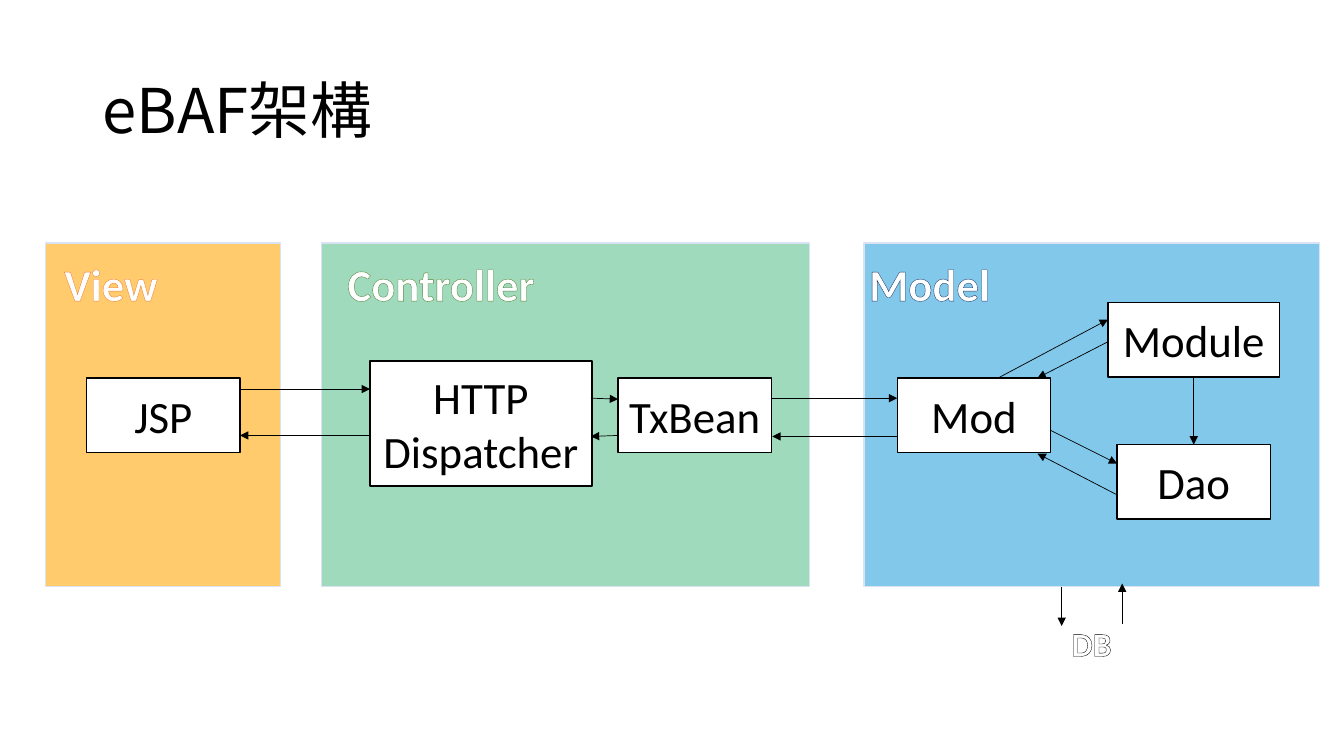
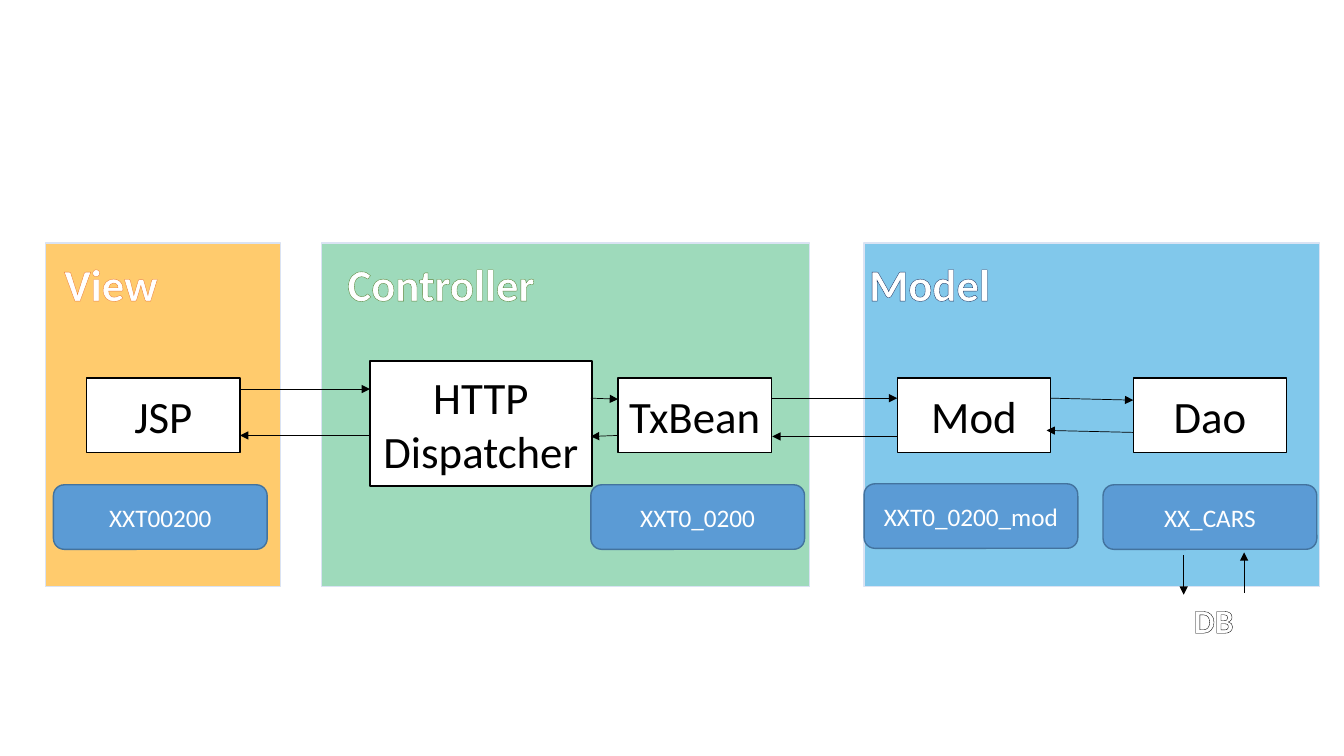
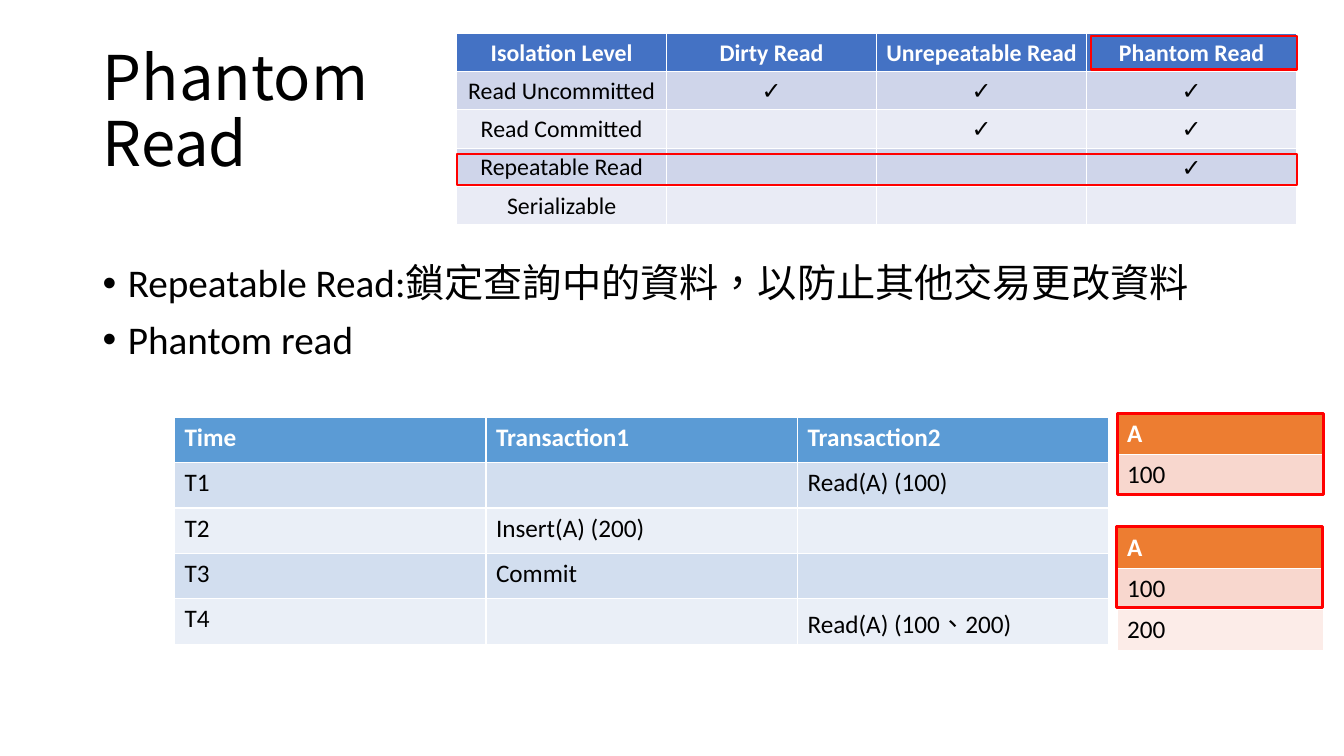
from lxml.etree import SubElement
from pptx import Presentation
from pptx.dml.color import RGBColor
from pptx.enum.shapes import MSO_CONNECTOR, MSO_SHAPE as PRESET
from pptx.enum.text import MSO_ANCHOR as ANCHOR, PP_ALIGN as ALIGN
from pptx.oxml.ns import qn
from pptx.util import Inches, Pt

COLORS = {
    "white": "FFFFFF", "black": "000000", "red": "FF0000",
    "lane_edge": "DAE3F3", "amber": "FFCB6D", "mint": "9EDABB", "sky": "81C8EB",
    "orange": "ED7D31", "forest": "548235", "navy": "203864",
    "tag": "5B9BD5", "tag_edge": "43739E", "header": "4472C4",
    "band_dark": "CFD5EA", "band_light": "E9EBF5",
    "steel_dark": "D2DEEF", "steel_light": "EAEFF7",
    "peach_dark": "F8D7CE", "peach_light": "FCECE8",
}
CJK_FONT = "Noto Sans CJK SC"

presentation = Presentation()
presentation.slide_width, presentation.slide_height = Inches(13.33), Inches(7.5)
blank = presentation.slide_layouts[6]

# The grid: 133.3 columns by 75 rows
COLUMN = presentation.slide_width / 133.3
ROW = presentation.slide_height / 75


def write(frame, text, size=18, color="black", bold=False, font="Calibri",
          align=ALIGN.LEFT, anchor=ANCHOR.MIDDLE, wrap=True, spacing=None,
          before=None, bullet=None, outline=None):
    frame.word_wrap, frame.vertical_anchor = wrap, anchor
    for index, line in enumerate(text.split("\n")):
        paragraph = frame.add_paragraph() if index else frame.paragraphs[0]
        paragraph.text = line
        paragraph.alignment = align
        paragraph.line_spacing = spacing
        paragraph.space_before = before
        if bullet:
            properties = paragraph._p.get_or_add_pPr()
            properties.set("marL", str(Inches(0.25)))
            properties.set("indent", str(-Inches(0.25)))
            SubElement(properties, qn("a:buFont"), typeface="Arial")
            SubElement(properties, qn("a:buChar"), char=bullet)
        for run in paragraph.runs:
            run.font.size, run.font.bold, run.font.name = Pt(size), bold, font
            run.font.color.rgb = RGBColor.from_string(COLORS[color])
            properties = run._r.get_or_add_rPr()
            properties.set("lang", "zh-TW")
            SubElement(properties, qn("a:ea"), typeface=CJK_FONT)
            if outline:
                edge_color, edge_width = outline
                edge = SubElement(properties, qn("a:ln"), w=str(Pt(edge_width)))
                edge_fill = SubElement(edge, qn("a:solidFill"))
                SubElement(edge_fill, qn("a:srgbClr"), val=COLORS[edge_color])
                properties.insert(0, edge)


def place(slide, box, preset=None, fill=None, line="black", weight=1):
    """Add a shape on the grid, or a text box when no preset is given."""
    left, top, width, height = box
    area = [int(v) for v in (left * COLUMN, top * ROW, width * COLUMN, height * ROW)]
    if preset is None:
        return slide.shapes.add_textbox(*area)
    shape = slide.shapes.add_shape(preset, *area)
    shape.shadow.inherit = False
    if fill:
        shape.fill.solid()
        shape.fill.fore_color.rgb = RGBColor.from_string(COLORS[fill])
    else:
        shape.fill.background()
    shape.line.color.rgb = RGBColor.from_string(COLORS[line])
    shape.line.width = Pt(weight)
    return shape


TITLE_BOX = (9.2, 4, 115, 14.5)
TITLE_STYLE = {"size": 44, "font": CJK_FONT, "spacing": 0.9}

# Architecture: parts that both diagrams share
LANE_TOP, LANE_HEIGHT = 24.1, 34.1
BOX_TOP, BOX_WIDTH, BOX_HEIGHT = 37.5, 15.2, 7.4
lanes = [  # name, left, width, fill, label left, label width, outline
    ("View", 4.5, 23.3, "amber", 2.9, 16.2, ("orange", 0.52)),
    ("Controller", 31.9, 48.4, "mint", 28.4, 30.7, ("forest", 0.52)),
    ("Model", 85.7, 45.2, "sky", 84.1, 16.2, ("navy", 1)),
]
shared_boxes = {
    "JSP": (8.6, BOX_TOP, BOX_WIDTH, BOX_HEIGHT),
    "HTTP\nDispatcher": (36.7, 35.8, 22, 12.4),
    "TxBean": (61.3, BOX_TOP, BOX_WIDTH, BOX_HEIGHT),
    "Mod": (89, BOX_TOP, BOX_WIDTH, BOX_HEIGHT),
}
shared_arrows = [
    (23.8, 38.6, 36.7, 38.6), (58.6, 39.5, 61.3, 39.6), (76.6, 39.5, 89, 39.5),
    (36.6, 43.2, 23.8, 43.2), (61.3, 43.2, 58.6, 43.3), (89, 43.3, 76.6, 43.3),
]

# Architecture: what each diagram adds
diagrams = [
    {
        "title": "eBAF架構",
        "boxes": {"Module": (109.9, 30, 17, BOX_HEIGHT),
                  "Dao": (110.8, 44.1, BOX_WIDTH, BOX_HEIGHT)},
        "arrows": [(99, 37.5, 109.9, 31.7), (109.9, 33.9, 102.9, 37.5),
                   (104.2, 42.7, 110.8, 46), (110.8, 49.1, 102.9, 45)],
        "joins": [("Module", "Dao")],
        "database": (105.3, 58.2, 61.3),
        "tags": {},
    },
    {
        "title": None,
        "boxes": {"Dao": (112.4, BOX_TOP, BOX_WIDTH, BOX_HEIGHT)},
        "arrows": [(104.2, 39.5, 112.4, 39.7), (112.4, 42.9, 103.8, 42.7)],
        "joins": [],
        "database": (117.4, 55.1, 59),
        "tags": {"XXT00200": (5.3, 48.1), "XXT0_0200": (58.6, 48.1),
                 "XXT0_0200_mod": (85.7, 48), "XX_CARS": (109.4, 48.1)},
    },
]

for diagram in diagrams:
    slide = presentation.slides.add_slide(blank)
    if diagram["title"]:
        write(place(slide, TITLE_BOX).text_frame, diagram["title"], **TITLE_STYLE)

    # Lanes and their labels
    for name, left, width, fill, label_left, label_width, outline in lanes:
        place(slide, (left, LANE_TOP, width, LANE_HEIGHT), PRESET.RECTANGLE,
              fill, "lane_edge")
        label = place(slide, (label_left, 25.2, label_width, 5.8))
        write(label.text_frame, name, size=32, color="white", bold=True,
              align=ALIGN.CENTER, outline=outline)

    # Process boxes
    shapes = {}
    for name, box in {**shared_boxes, **diagram["boxes"]}.items():
        shapes[name] = place(slide, box, PRESET.FLOWCHART_PROCESS, "white")
        write(shapes[name].text_frame, name, size=32, align=ALIGN.CENTER)

    # Database label
    x, y, label_top = diagram["database"]
    database = place(slide, (x, label_top, 6, 5))
    write(database.text_frame, "DB", size=24, color="white", bold=True,
          anchor=ANCHOR.TOP, wrap=False, outline=("black", 0.8))

    # Arrows: free ones by position, joined ones from bottom to top side
    free = shared_arrows + diagram["arrows"] + [
        (x, y, x, y + 3.9), (x + 6, y + 3.7, x + 6, y - 0.3)]
    for ends, joined in ([(ends, None) for ends in free]
                         + [((0, 0, 0, 0), pair) for pair in diagram["joins"]]):
        x1, y1, x2, y2 = ends
        arrow = slide.shapes.add_connector(
            MSO_CONNECTOR.STRAIGHT, int(x1 * COLUMN), int(y1 * ROW),
            int(x2 * COLUMN), int(y2 * ROW))
        if joined:
            arrow.begin_connect(shapes[joined[0]], 2)
            arrow.end_connect(shapes[joined[1]], 0)
        arrow.line.color.rgb = RGBColor.from_string(COLORS["black"])
        arrow.line.width = Pt(0.5)
        SubElement(arrow.line._get_or_add_ln(), qn("a:tailEnd"), type="triangle")
        SubElement(arrow._element.spPr, qn("a:effectLst"))

    # Program name tags
    for name, (left, top) in diagram["tags"].items():
        tag = place(slide, (left, top, 21.2, 6.4), PRESET.ROUNDED_RECTANGLE,
                    "tag", "tag_edge")
        write(tag.text_frame, name, color="white", align=ALIGN.CENTER)

# Phantom read: title and bullets
slide = presentation.slides.add_slide(blank)
write(place(slide, TITLE_BOX).text_frame, "Phantom\vRead", **TITLE_STYLE)
write(place(slide, (9.2, 25.7, 115, 41.9)).text_frame,
      "Repeatable Read:鎖定查詢中的資料，以防止其他交易更改資料\nPhantom read",
      size=28, anchor=ANCHOR.TOP, spacing=0.9, before=Pt(10), bullet="•")

# Phantom read: tables
tables = [
    {
        "box": (45.3, 3.3, 83.3, 19), "size": 17, "centered": True,
        "fills": ("header", "band_dark", "band_light"),
        "rows": [
            ("Isolation Level", "Dirty Read", "Unrepeatable Read", "Phantom Read"),
            ("Read Uncommitted", "✓", "✓", "✓"),
            ("Read Committed", "", "✓", "✓"),
            ("Repeatable Read", "", "", "✓"),
            ("Serializable", "", "", ""),
        ],
    },
    {
        "box": (17.3, 41.4, 92.7, 22.5), "size": 18, "centered": False,
        "fills": ("tag", "steel_dark", "steel_light"),
        "rows": [
            ("Time", "Transaction1", "Transaction2"),
            ("T1", "", "Read(A) (100)"),
            ("T2", "Insert(A) (200)", ""),
            ("T3", "Commit", ""),
            ("T4", "", "Read(A) (100、200)"),
        ],
    },
]
for top, values in ((52.3, ("A", "100", "200")), (41, ("A", "100"))):
    tables.append({
        "box": (110.8, top, 20.5, 4.07 * len(values)), "size": 18, "centered": False,
        "fills": ("orange", "peach_dark", "peach_light"),
        "rows": [(value,) for value in values],
    })

for content in tables:
    left, top, width, height = content["box"]
    rows = content["rows"]
    table = slide.shapes.add_table(
        len(rows), len(rows[0]), int(left * COLUMN), int(top * ROW),
        int(width * COLUMN), int(height * ROW)).table
    header_fill, *bands = content["fills"]
    for row_index, row in enumerate(rows):
        is_header = row_index == 0
        fill = header_fill if is_header else bands[(row_index - 1) % 2]
        for column_index, text in enumerate(row):
            cell = table.cell(row_index, column_index)
            cell.fill.solid()
            cell.fill.fore_color.rgb = RGBColor.from_string(COLORS[fill])
            write(cell.text_frame, text, size=content["size"], bold=is_header,
                  color="white" if is_header else "black",
                  font="Arial" if text == "✓" else "Calibri",
                  align=ALIGN.CENTER if content["centered"] else ALIGN.LEFT)
            if content["centered"]:
                cell.vertical_anchor = ANCHOR.MIDDLE
                cell.margin_left = cell.margin_right = cell.margin_top = Inches(0.01)
                cell.margin_bottom = 0

# Phantom read: red frames
for box, weight in (
    ((108.2, 3.6, 20.4, 3.3), 1.5), ((45.3, 15.3, 83.3, 3.1), 1.5),
    ((110.8, 41, 20.5, 8.1), 2.25), ((110.7, 52.2, 20.5, 8.1), 2.25),
):
    place(slide, box, PRESET.FLOWCHART_PROCESS, line="red", weight=weight)

presentation.save("out.pptx")
